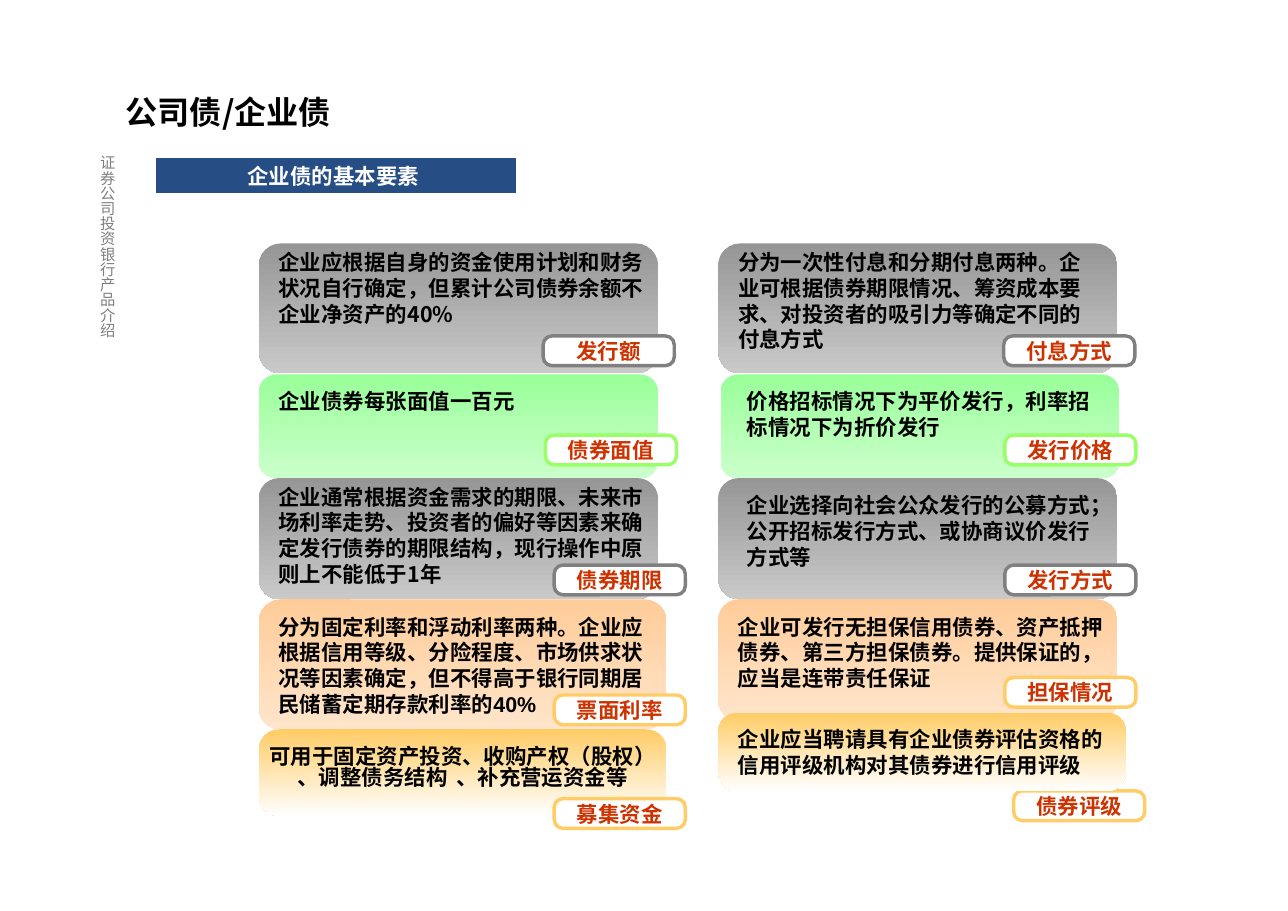
from dataclasses import dataclass
from lxml.etree import SubElement
from pptx import Presentation
from pptx.dml.color import RGBColor
from pptx.enum.shapes import MSO_SHAPE
from pptx.enum.text import MSO_ANCHOR, PP_ALIGN
from pptx.oxml.ns import qn
from pptx.util import Inches, Pt


@dataclass(frozen=True)
class Theme:
    ink: str = "000000"
    label: str = "CC3300"
    navy: str = "264E84"
    white: str = "FFFFFF"
    muted: str = "808080"
    title: float = 21
    body: float = 14
    side: float = 10
    lead: float = 16.9  # line height of body text
    noto: str = "Noto Sans CJK SC"
    arial: str = "Arial"
    times: str = "Times New Roman"
    roboto: str = "Roboto"


T = Theme()

# Tone: gradient top, gradient bottom, label border, corner radius
TONES = {
    "grey": ("969696", "C9C9C9", "808080", 0.167),
    "green": ("99FF99", "CBFFCB", "99FF66", 0.167),
    "peach": ("FFCC99", "FFE5CB", "FFCC66", 0.167),
    "gold": ("FFCC66", "FFFFFF", "FFCC66", 0.237),
}


@dataclass
class Card:
    tone: str
    box: tuple
    name: str
    tag: tuple
    lines: list
    note: tuple = ()  # left, top, width, line count
    before: float = 8.8
    under: bool = False  # label lies behind the card


LEFT, RIGHT, WIDE = 2.35, 6.52, 3.62
ROWS = (2.21, 3.4, 4.34, 5.44)

CARDS = [
    # Left column
    Card("grey", (LEFT, ROWS[0], WIDE, 1.18), "发行额", (4.93, 3.05),
         [[("企业应根据自身的资金使用计划和财务状况自行确定，"
            "但累计公司债券余额不企业净资产的40%", T.noto)]],
         (2.43, 2.21, 3.54, 3)),
    Card("green", (LEFT, ROWS[1], WIDE, 0.94), "债券面值", (4.95, 3.95),
         [[("企业", T.noto), ("债券每张面值一百元", T.times)]],
         (2.43, 3.47, 3.54, 1)),
    Card("grey", (LEFT, ROWS[2], WIDE, 1.1), "债券期限", (5.03, 5.13),
         [[("企业通常根据资金需求的期限、未来市场利率走势、投资者的偏好等因素"
            "来确定发行债券的期限结构，现行操作中原则上不能低于1年", T.noto)]],
         (2.43, 4.34, 3.54, 4)),
    Card("peach", (LEFT, ROWS[3], 3.7, 1.18), "票面利率", (5.03, 6.31),
         [[("分为固定利率和浮动利率两种。企业应根据信用等级、分险程度、市场供求"
            "状况等因素确定，但不得高于银行同期居民储蓄定期存款利率的40%", T.arial)]],
         (2.43, 5.52, 3.54, 4)),
    Card("gold", (LEFT, 6.62, 3.7, 0.79), "募集资金", (5.03, 7.25),
         [[("可用于固定资产投资、收购产权（股权）", T.times)],
          [("、调整债务结构", T.times), (" ", T.times, 24),
           ("、补充营运资金等", T.times)]]),
    # Right column
    Card("grey", (RIGHT, ROWS[0], WIDE, 1.18), "付息方式", (9.11, 3.05),
         [[("分为一次性付息和分期付息两种。企业可根据债券期限情况、筹资成本要求、"
            "对投资者的吸引力等确定不同的付息方式", T.arial)]],
         (6.6, 2.21, 3.45, 4)),
    Card("green", (6.54, ROWS[1], WIDE, 0.94), "发行价格", (9.12, 3.95),
         [[("价格招标情况下为平价发行，利率招标情况下为折价发行", T.arial)]],
         (6.68, 3.47, 3.45, 2)),
    Card("grey", (RIGHT, ROWS[2], WIDE, 1.1), "发行方式", (9.12, 5.13),
         [[("企业选择向社会公众发行的公募方式；公开招标发行方式、"
            "或协商议价发行方式等", T.noto)]],
         (6.68, 4.42, 3.45, 3)),
    Card("peach", (RIGHT, ROWS[3], WIDE, 1.1), "担保情况", (9.12, 6.15),
         [[("企业可发行无担保信用债券、资产抵押债券、第三方担保债券。"
            "提供保证的，应当是连带责任保证", T.arial)]],
         (6.6, 5.52, 3.54, 3)),
    Card("gold", (RIGHT, 6.47, 3.7, 0.71), "债券评级", (9.2, 7.18),
         [[("企业应当聘请具有企业债券评估资格的", T.times)],
          [("信用评级机构对其债券进行信用评级", T.times)]],
         (6.6, 6.54, 3.54, 2), before=0, under=True),
]


def rgb(code):
    return RGBColor.from_string(code)


def place(shape, box):
    for key, val in zip(("left", "top", "width", "height"), box):
        setattr(shape, key, Inches(val))


def write(shape, lines, color=T.ink, size=T.body, bold=True, lead=T.lead,
          align=PP_ALIGN.LEFT, before=0, anchor=MSO_ANCHOR.TOP,
          pad=(0.1, 0.05, 0.1, 0.05), wrap=True):
    """Fill a shape with paragraphs of (text, font[, size]) runs."""
    frame = shape.text_frame
    form = {"word_wrap": wrap, "vertical_anchor": anchor}
    sides = ("margin_left", "margin_top", "margin_right", "margin_bottom")
    form.update(zip(sides, map(Inches, pad)))
    for key, val in form.items():
        setattr(frame, key, val)
    for i, runs in enumerate(lines):
        para = frame.add_paragraph() if i else frame.paragraphs[0]
        form = {"alignment": align, "line_spacing": Pt(lead),
                "space_before": Pt(before)}
        for key, val in form.items():
            setattr(para, key, val)
        for text, face, *own in runs:
            run = para.add_run()
            run.text = text
            form = {"name": face, "size": Pt(own[0] if own else size), "bold": bold}
            for key, val in form.items():
                setattr(run.font, key, val)
            run.font.color.rgb = rgb(color)
            east = SubElement(run.font._element, qn("a:ea"))
            east.set("typeface", T.noto)


def block(slide, kind, box, fill, line=None, width=0, round_by=None):
    """Add a preset shape with a plain fill or a top-to-bottom gradient."""
    shape = slide.shapes.add_shape(kind, *map(Inches, box))
    shape.shadow.inherit = False
    if round_by:
        shape.adjustments[0] = round_by
    if isinstance(fill, tuple):
        shape.fill.gradient()
        shape.fill.gradient_angle = 270
        for stop, code in zip(shape.fill.gradient_stops, fill):
            stop.color.rgb = rgb(code)
    else:
        shape.fill.solid()
        shape.fill.fore_color.rgb = rgb(fill)
    if line:
        shape.line.color.rgb = rgb(line)
        shape.line.width = Pt(width)
    else:
        shape.line.fill.background()
    return shape


def label(slide, card):
    edge = TONES[card.tone][2]
    shape = block(slide, MSO_SHAPE.ROUNDED_RECTANGLE, (*card.tag, 1.19, 0.27),
                  T.white, edge, 2.24, 0.295)
    write(shape, [[(card.name, T.arial)]], T.label, align=PP_ALIGN.CENTER,
          anchor=MSO_ANCHOR.MIDDLE, wrap=False)


def panel(slide, card):
    top, base, _, bend = TONES[card.tone]
    if card.under:
        label(slide, card)
    shape = block(slide, MSO_SHAPE.ROUNDED_RECTANGLE, card.box, (top, base),
                  round_by=bend)
    if card.note:
        x, y, w, count = card.note
        box = (x, y, w, 0.1 + count * T.lead / 72)
        note = slide.shapes.add_textbox(*map(Inches, box))
        write(note, card.lines, before=card.before)
    else:
        write(shape, card.lines, lead=15.7, align=PP_ALIGN.CENTER,
              anchor=MSO_ANCHOR.MIDDLE, pad=(0.1, 0.05, 0.1, 0.13), wrap=False)
    if not card.under:
        label(slide, card)


def main():
    deck = Presentation()
    deck.slide_width, deck.slide_height = Inches(11.69), Inches(8.27)
    slide = deck.slides.add_slide(deck.slide_layouts[5])

    # Title
    title = slide.shapes.title
    place(title, (1.14, 0.5, 8.17, 0.69))
    write(title, [[("公司债/企业债", T.noto)]], size=T.title, lead=25,
          anchor=MSO_ANCHOR.BOTTOM, pad=(0, 0, 0, 0))

    # Vertical running head
    side = slide.shapes.add_textbox(*map(Inches, (0.89, 1.41, 0.23, 6.45)))
    write(side, [[("证券公司投资银行产品介绍", T.roboto)]], T.muted, T.side,
          bold=False, lead=12, align=PP_ALIGN.RIGHT, anchor=MSO_ANCHOR.BOTTOM,
          pad=(0, 0, 0, 0), wrap=False)
    side.text_frame._txBody.bodyPr.set("vert", "eaVert")

    # Cards
    for card in CARDS:
        panel(slide, card)

    # Section banner
    bar = block(slide, MSO_SHAPE.RECTANGLE, (1.42, 1.44, 3.26, 0.31),
                T.navy, T.navy, 0.74)
    write(bar, [[("企业债的基本要素", T.roboto)]], T.white, align=PP_ALIGN.CENTER,
          anchor=MSO_ANCHOR.BOTTOM, pad=(0.05, 0.04, 0.1, 0.04))

    deck.save("out.pptx")


main()
